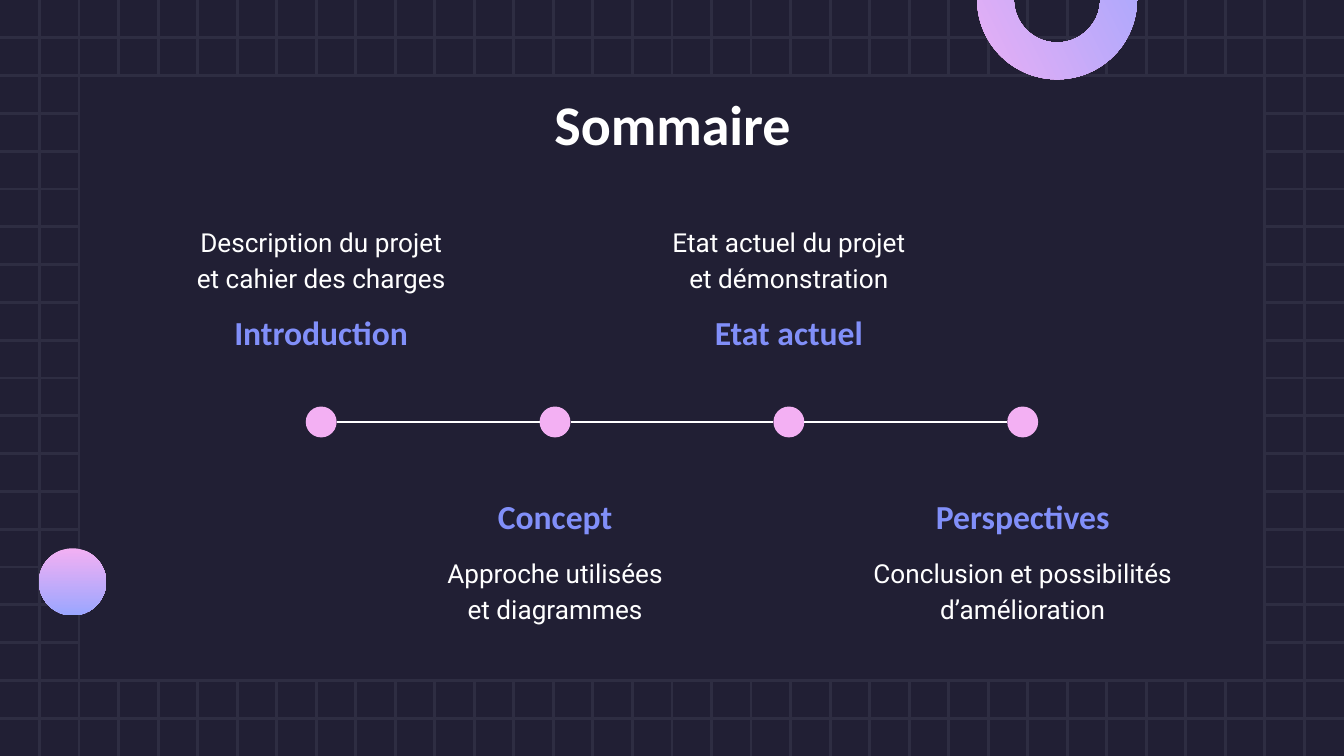
from dataclasses import dataclass

from lxml.etree import SubElement
from pptx import Presentation
from pptx.dml.color import RGBColor as Rgb
from pptx.enum.shapes import MSO_CONNECTOR as Link, MSO_SHAPE as Kind
from pptx.enum.text import MSO_ANCHOR as Anchor, PP_ALIGN as Align
from pptx.oxml.ns import qn
from pptx.util import Inches, Pt


@dataclass(frozen=True)
class Theme:
    back: str = "211F34"
    grid: str = "2E2D42"
    white: str = "FFFFFF"
    blue: str = "818FF9"
    pink: str = "F3B0F3"
    sky: str = "9AA6FF"
    head: str = "Calibri"
    body: str = "Roboto"
    title: int = 30
    label: int = 18
    note: int = 14


LOOK = Theme()
WIDE, HIGH = 10, 5.625
COLS, ROWS = 34, 20
CELL_W, CELL_H = WIDE / COLS, HIGH / ROWS

# Timeline: first stop, gap between stops, dot size, text width
FIRST, STEP, AXIS = 2.39, 1.74, 3.14
DOT, TEXT_W = 0.23, 2.92
LABEL_H, NOTE_H = 0.5, 0.63

STOPS = [
    ("Introduction", "Description du projet\net cahier des charges"),
    ("Concept", "Approche utilisées\net diagrammes"),
    ("Etat actuel", "Etat actuel du projet\net démonstration"),
    ("Perspectives", "Conclusion et possibilités d’amélioration"),
]


def add_line(slide, x1, y1, x2, y2, color, width):
    line = slide.shapes.add_connector(
        Link.STRAIGHT, Inches(x1), Inches(y1), Inches(x2), Inches(y2))
    line.line.color.rgb = Rgb.from_string(color)
    line.line.width = Pt(width)
    SubElement(line._element.spPr, qn("a:effectLst"))


def add_shape(slide, kind, x, y, w, h, fill=None, edge=None):
    """Without a fill colour, the shape runs from pink down to sky blue."""
    shape = slide.shapes.add_shape(
        kind, Inches(x), Inches(y), Inches(w), Inches(h))
    shape.shadow.inherit = False
    if fill:
        shape.fill.solid()
        shape.fill.fore_color.rgb = Rgb.from_string(fill)
    else:
        shape.fill.gradient()
        shape.fill.gradient_angle = 270
        for stop, color in zip(shape.fill.gradient_stops, (LOOK.pink, LOOK.sky)):
            stop.color.rgb = Rgb.from_string(color)
    if edge:
        shape.line.color.rgb = Rgb.from_string(edge)
        shape.line.width = Pt(1.5)
    else:
        shape.line.fill.background()
    return shape


def add_text(slide, text, x, y, w, h, size, color, font,
             bold=False, anchor=Anchor.TOP, space=1.15):
    box = slide.shapes.add_textbox(Inches(x), Inches(y), Inches(w), Inches(h))
    frame = box.text_frame
    frame.word_wrap = True
    frame.vertical_anchor = anchor
    frame.margin_left = frame.margin_right = Inches(0.1)
    frame.margin_top = frame.margin_bottom = Inches(0.1)
    para = frame.paragraphs[0]
    para.text = text
    para.alignment = Align.CENTER
    para.line_spacing = space
    para.font.size = Pt(size)
    para.font.name = font
    para.font.bold = bold
    para.font.color.rgb = Rgb.from_string(color)


def add_grid(slide):
    for row in range(1, ROWS):
        y = row * CELL_H
        add_line(slide, 0, y, WIDE, y, LOOK.grid, 1.5)
    for col in range(1, COLS):
        x = col * CELL_W
        add_line(slide, x, 0, x, HIGH, LOOK.grid, 1.5)
    # Panel set two cells in from each edge
    add_shape(slide, Kind.RECTANGLE, 2 * CELL_W, 2 * CELL_H,
              (COLS - 4) * CELL_W, (ROWS - 4) * CELL_H, LOOK.back, LOOK.grid)


def add_stop(slide, spot, label, note):
    mid = FIRST + spot * STEP
    left = mid - TEXT_W / 2
    # Text alternates above and below the axis
    if spot % 2:
        label_y, note_y, anchor = 3.59, 4.01, Anchor.BOTTOM
    else:
        label_y, note_y, anchor = 2.18, 1.55, Anchor.TOP
    add_text(slide, label, left, label_y, TEXT_W, LABEL_H,
             LOOK.label, LOOK.blue, LOOK.head, True, anchor)
    add_text(slide, note, left, note_y, TEXT_W, NOTE_H,
             LOOK.note, LOOK.white, LOOK.body)
    add_shape(slide, Kind.OVAL, mid - DOT / 2, AXIS - DOT / 2, DOT, DOT, LOOK.pink)
    if spot:
        add_line(slide, mid - STEP + DOT / 2, AXIS, mid - DOT / 2, AXIS,
                 LOOK.white, 0.75)


def add_decor(slide):
    add_shape(slide, Kind.OVAL, 0.29, 4.08, 0.5, 0.5)
    ring = add_shape(slide, Kind.BLOCK_ARC, 7.27, -0.6, 1.19, 1.19)
    ring.rotation = 243.5
    for spot, value in enumerate((22.31, 0.36, 0.23)):
        ring.adjustments[spot] = value


def main():
    deck = Presentation()
    deck.slide_width, deck.slide_height = Inches(WIDE), Inches(HIGH)
    slide = deck.slides.add_slide(deck.slide_layouts[6])
    slide.background.fill.solid()
    slide.background.fill.fore_color.rgb = Rgb.from_string(LOOK.back)

    add_grid(slide)
    add_text(slide, "Sommaire", 0.79, 0.57, 8.43, 0.63,
             LOOK.title, LOOK.white, LOOK.head, True, space=1.0)
    for spot, (label, note) in enumerate(STOPS):
        add_stop(slide, spot, label, note)
    add_decor(slide)
    deck.save("out.pptx")


if __name__ == "__main__":
    main()
